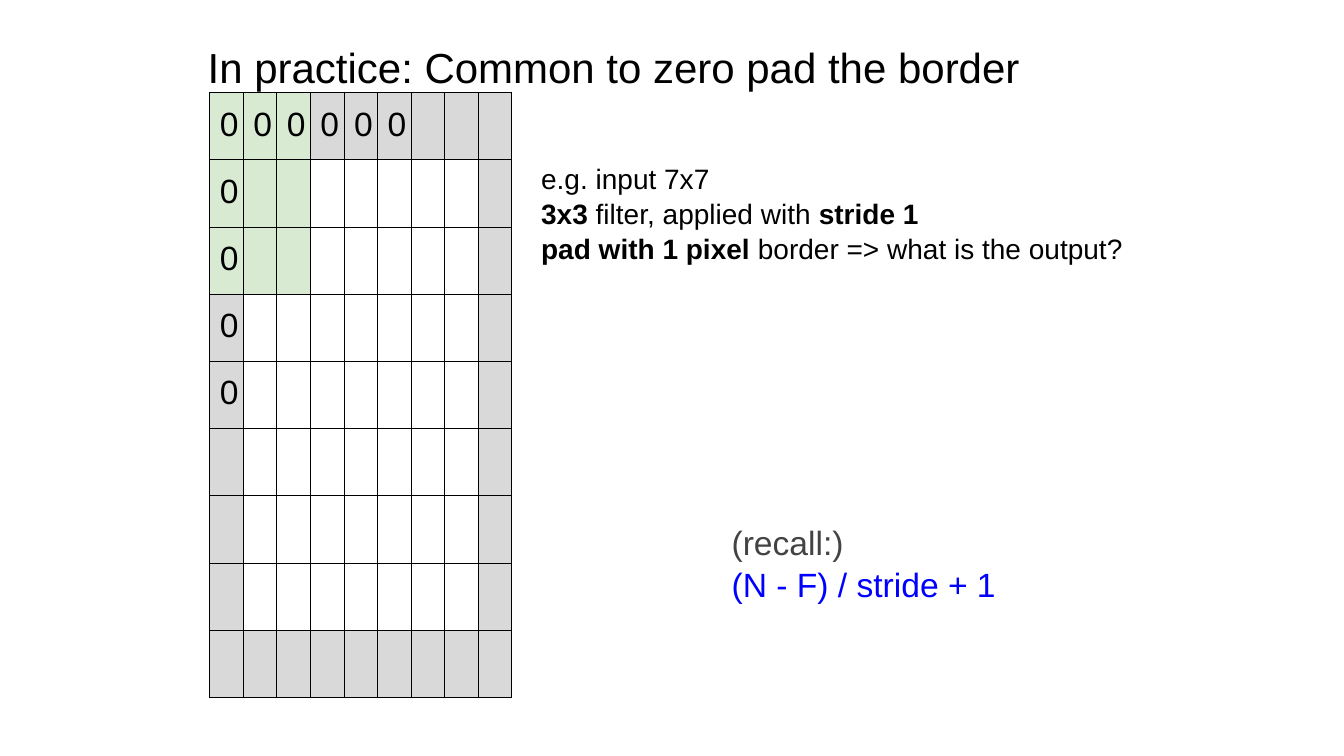
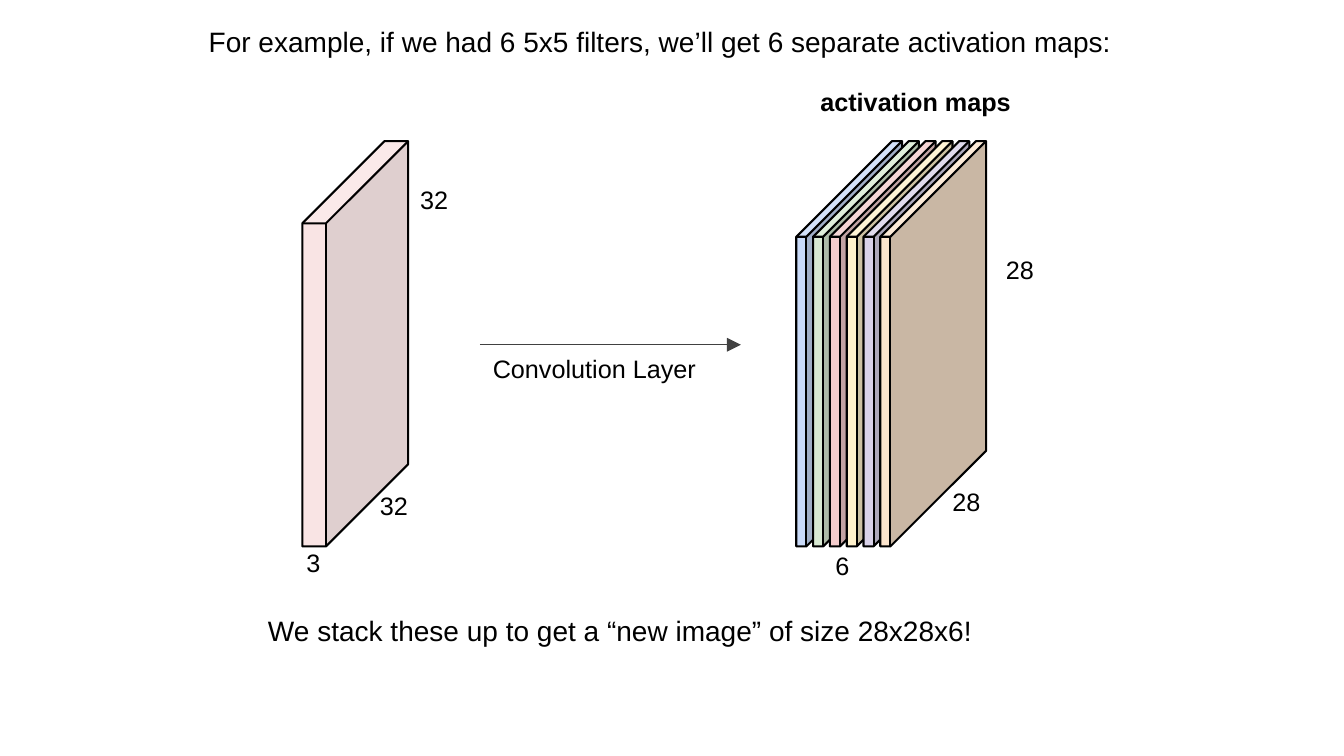
from itertools import cycle

from lxml.etree import SubElement
from pptx import Presentation
from pptx.dml.color import RGBColor
from pptx.enum.shapes import MSO_CONNECTOR as Connector, MSO_SHAPE as Preset
from pptx.enum.text import MSO_ANCHOR as Anchor, MSO_AUTO_SIZE as AutoSize, PP_ALIGN as Align
from pptx.oxml.ns import qn
from pptx.util import Inches, Pt

COLOURS = {
    "ink": "000000",
    "grey_text": "434343",
    "formula": "0000FF",
    "arrow": "414141",
    "window": "D9EAD3",
    "padding": "D9D9D9",
    "paper": "FFFFFF",
    "input": "F4CCCC",
}
MAP_COLOURS = ["C9DAF8", "D9EAD3", "F4CCCC", "FFF2CC", "D9D2E9", "FCE5CD"]
FONT = "Arial"
INSET = Inches(0.1)

presentation = Presentation()
presentation.slide_width, presentation.slide_height = Inches(13.33), Inches(7.5)
title_only = presentation.slide_layouts[5]

# The slide is a grid of 80 columns by 45 rows
COLUMN = presentation.slide_width / 80
ROW = presentation.slide_height / 45


def grid(column, row, columns, rows):
    return [round(length) for length in (column * COLUMN, row * ROW, columns * COLUMN, rows * ROW)]


def write(shape, text, size=18, colours=("ink",), anchor=Anchor.TOP, inset=INSET, spacing=None):
    """Fill a shape or cell with one paragraph per line; **marks** set bold text."""
    frame = shape.text_frame
    frame.word_wrap = True
    shape.vertical_anchor = frame.vertical_anchor = anchor
    shape.margin_left = shape.margin_right = frame.margin_left = frame.margin_right = INSET
    shape.margin_top = shape.margin_bottom = frame.margin_top = frame.margin_bottom = inset
    for index, (line, colour) in enumerate(zip(text.split("\n"), cycle(colours))):
        paragraph = frame.add_paragraph() if index else frame.paragraphs[0]
        paragraph.alignment = Align.LEFT
        paragraph.line_spacing = spacing
        for part, words in enumerate(line.split("**")):
            if words:
                run = paragraph.add_run()
                run.text = words
                run.font.name, run.font.size, run.font.bold = FONT, Pt(size), part % 2 == 1
                run.font.color.rgb = RGBColor.from_string(COLOURS[colour])


slides = []
for text, size, place in [
    ("In practice: Common to zero pad the border", 30, (11.76, 1.86, 54.36, 6.48)),
    ("For example, if we had 6 5x5 filters, we’ll get 6 separate activation maps:", 20,
     (11.82, 0.84, 57.24, 3.36)),
]:
    slide = presentation.slides.add_slide(title_only)
    title = slide.shapes.title
    title.left, title.top, title.width, title.height = grid(*place)
    title.text_frame.auto_size = AutoSize.NONE
    write(title, text, size)
    slides.append(slide)
padding_slide, maps_slide = slides

# Zero padding
for text, place, text_format in [
    ("e.g. input 7x7\n**3x3** filter, applied with **stride 1**\n"
     "**pad with 1 pixel** border => what is the output?",
     (31.62, 8.94, 38.34, 12.96), {"size": 20}),
    ("(recall:)\n(N - F) / stride + 1", (42.96, 28.08, 18.96, 10.74),
     {"size": 24, "colours": ("grey_text", "formula"), "anchor": Anchor.MIDDLE}),
]:
    write(padding_slide.shapes.add_textbox(*grid(*place)), text, spacing=1.04, **text_format)

CELLS = 9
LAST = CELLS - 1
FILTER = 3
table = padding_slide.shapes.add_table(CELLS, CELLS, *grid(12.48, 5.52, 2 * CELLS, 4 * CELLS)).table
table.first_row = table.horz_banding = False
for row in range(CELLS):
    for column in range(CELLS):
        cell = table.cell(row, column)
        properties = cell._tc.get_or_add_tcPr()
        for side in ("a:lnL", "a:lnR", "a:lnT", "a:lnB"):
            border = SubElement(properties, qn(side), w=str(Pt(0.75)))
            SubElement(SubElement(border, qn("a:solidFill")), qn("a:srgbClr"), val=COLOURS["ink"])
        if row < FILTER and column < FILTER:
            fill = "window"
        elif row in (0, LAST) or column in (0, LAST):
            fill = "padding"
        else:
            fill = "paper"
        cell.fill.solid()
        cell.fill.fore_color.rgb = RGBColor.from_string(COLOURS[fill])
        if (row == 0 and column < 6) or (column == 0 and row < 5):
            write(cell, "0", 24, inset=Inches(0.13))

# Activation maps
cubes = [(18, COLOURS["input"], 0.777)]
cubes += [(47.4 + step, colour, 0.904) for step, colour in enumerate(MAP_COLOURS)]
for column, colour, depth in cubes:
    cube = maps_slide.shapes.add_shape(Preset.CUBE, *grid(column, 8.4, 6.3, 24.12))
    cube.adjustments[0] = depth
    cube.shadow.inherit = False
    cube.fill.solid()
    cube.fill.fore_color.rgb = RGBColor.from_string(colour)
    cube.line.color.rgb = RGBColor.from_string(COLOURS["ink"])
    cube.line.width = Pt(1.5)
    if column == 18:
        tint = cube._element.spPr.find(qn("a:solidFill")).find(qn("a:srgbClr"))
        SubElement(tint, qn("a:alpha"), val="52000")

left, top, length, _ = grid(28.56, 20.52, 15.54, 0)
arrow = maps_slide.shapes.add_connector(Connector.STRAIGHT, left, top, left + length, top)
arrow.line.color.rgb = RGBColor.from_string(COLOURS["arrow"])
arrow.line.width = Pt(0.75)
SubElement(arrow.line._get_or_add_ln(), qn("a:tailEnd"), type="triangle", w="lg", len="lg")
SubElement(arrow._element.spPr, qn("a:effectLst"))

for text, size, place in [
    ("32", 18, (22.02, 28.56, 3.24, 2.7)),
    ("32", 18, (24.42, 10.38, 3.24, 2.46)),
    ("3", 18, (17.64, 31.98, 3.24, 1.62)),
    ("Convolution Layer", 18, (28.74, 20.4, 21.48, 7.14)),
    ("**activation maps**", 18, (48.24, 4.56, 13.56, 4.74)),
    ("6", 18, (49.14, 32.16, 2.16, 2.7)),
    ("28", 18, (56.1, 28.32, 3.24, 2.7)),
    ("28", 18, (59.28, 14.52, 3.24, 2.7)),
    ("We stack these up to get a “new image” of size 28x28x6!", 20, (15.36, 35.94, 56.58, 2.46)),
]:
    write(maps_slide.shapes.add_textbox(*grid(*place)), text, size)

presentation.save("out.pptx")
